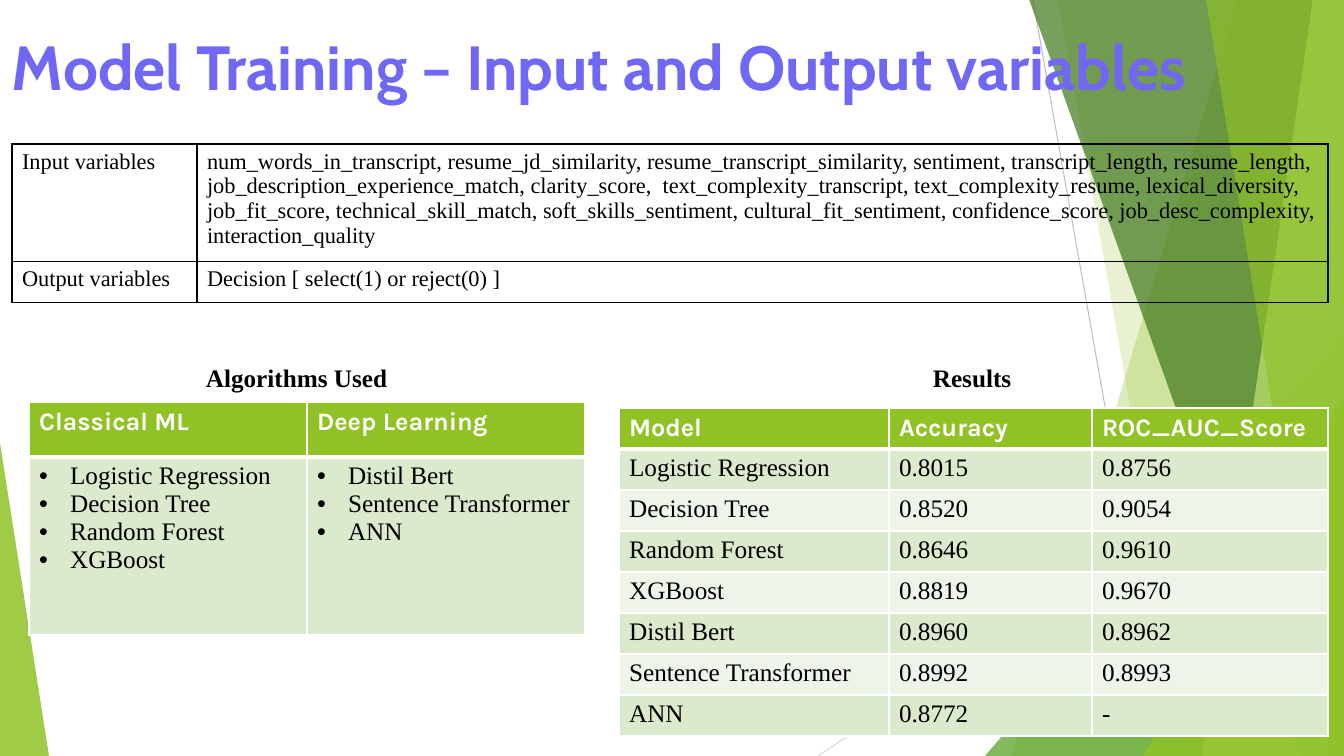
import pptx
import pptx.util
import pptx.dml.color
import pptx.enum.shapes
import pptx.oxml
import pptx.oxml.ns
from lxml import etree

RGB = pptx.dml.color.RGBColor
BLACK, WHITE = RGB(0, 0, 0), RGB(255, 255, 255)
VIOLET = RGB(0x70, 0x68, 0xF4)
LIME, GREEN = RGB(0x90, 0xC2, 0x26), RGB(0x54, 0xA0, 0x21)
FOREST, PALE = RGB(0x3F, 0x78, 0x19), RGB(0xC0, 0xE4, 0x74)
GRAY, SILVER = RGB(0xBF, 0xBF, 0xBF), RGB(0xD9, 0xD9, 0xD9)
BAND, LIGHT = RGB(0xDB, 0xE9, 0xCD), RGB(0xEE, 0xF4, 0xE8)
SERIF, KARLA = "Times New Roman", "Karla"
W, H = 1344, 756
SCALE = 914400 / 100.8

# Content
TITLE = "Model Training – Input and Output variables"
VARS = [
    ["Input variables",
     "num_words_in_transcript, resume_jd_similarity, resume_transcript_similarity, "
     "sentiment, transcript_length, resume_length, job_description_experience_match, "
     "clarity_score,  text_complexity_transcript, text_complexity_resume, "
     "lexical_diversity, job_fit_score, technical_skill_match, soft_skills_sentiment, "
     "cultural_fit_sentiment, confidence_score, job_desc_complexity, interaction_quality"],
    ["Output variables", "Decision [ select(1) or reject(0) ]"],
]
METHODS = [
    ["Classical ML", "Deep Learning"],
    ["Logistic Regression\nDecision Tree\nRandom Forest\nXGBoost",
     "Distil Bert\nSentence Transformer\nANN"],
]
SCORES = [
    ["Model", "Accuracy", "ROC_AUC_Score"],
    ["Logistic Regression", "0.8015", "0.8756"],
    ["Decision Tree", "0.8520", "0.9054"],
    ["Random Forest", "0.8646", "0.9610"],
    ["XGBoost", "0.8819", "0.9670"],
    ["Distil Bert", "0.8960", "0.8962"],
    ["Sentence Transformer", "0.8992", "0.8993"],
    ["ANN", "0.8772", "-"],
]
HEADS = [("Algorithms Used", 196, 217), ("Results", 923, 193)]

# Backdrop: lines as x1, y1, x2, y2; facets as top left, bottom left;
# wedges as box and apex
LINES = [(1033, 0, 1167, H, GRAY), (W, 406, 818, H, SILVER)]
FACETS = [
    ("facet", (1238, 1012), LIME, 30),
    ("facet", (1058, 1192), LIME, 20),
    ("wedge", (985, 336, 359, 420, 1), GREEN, 72),
    ("facet", (1029, 1301), FOREST, 70),
    ("facet", (1313, 1202), PALE, 70),
    ("facet", (1206, 1329), LIME, 65),
    ("wedge", (1143, 396, 201, 360, 1), LIME, 80),
    ("wedge", (0, 443, 49, 313, 0), LIME, 85),
]


def px(n):
    return pptx.util.Emu(round(n * SCALE))


def node(parent, tag, **attrs):
    return etree.SubElement(parent, pptx.oxml.ns.qn(tag), attrs)


def write(frame, text, size=18, font=SERIF, color=BLACK, bold=False,
          bullet=False, lead=None):
    for i, line in enumerate(text.split("\n")):
        para = frame.add_paragraph() if i else frame.paragraphs[0]
        if lead:
            para.line_spacing = pptx.util.Pt(lead)
        if bullet:
            props = para._p.get_or_add_pPr()
            props.set("marL", str(px(31)))
            props.set("indent", str(-px(31)))
            node(props, "a:buFont", typeface="Arial")
            node(props, "a:buChar", char="•")
        run = para.add_run()
        run.text = line
        run.font.size = pptx.util.Pt(size)
        run.font.name = font
        run.font.bold = bold
        run.font.color.rgb = color


def label(slide, text, x, y, w, h, pad=None, **style):
    frame = slide.shapes.add_textbox(px(x), px(y), px(w), px(h)).text_frame
    frame.word_wrap = True
    if pad is not None:
        frame.margin_left = frame.margin_right = px(pad)
        frame.margin_top = frame.margin_bottom = px(pad)
    write(frame, text, **style)


def edge(cell, color, base=1):
    props = cell._tc.get_or_add_tcPr()
    for side in "LRTB":
        width = pptx.util.Pt(base if side == "B" else 1)
        line = node(props, "a:ln" + side, w=str(width))
        node(node(line, "a:solidFill"), "a:srgbClr", val=str(color))


def grid(slide, data, x, y, cols, rows, head=True, line=WHITE, size=18,
         bullet=False):
    table = slide.shapes.add_table(len(rows), len(cols), px(x), px(y),
                                   px(sum(cols)), px(sum(rows))).table
    table.first_row = table.horz_banding = False
    for col, w in zip(table.columns, cols):
        col.width = px(w)
    for r, (row, h) in enumerate(zip(data, rows)):
        table.rows[r].height = px(h)
        top = head and r == 0
        for c, text in enumerate(row):
            cell = table.cell(r, c)
            edge(cell, line, 3 if top else 1)
            if head:
                cell.fill.solid()
                cell.fill.fore_color.rgb = LIME if top else BAND if r % 2 else LIGHT
            else:
                cell.fill.background()
            if top:
                write(cell.text_frame, text, size=size, font=KARLA, color=WHITE, bold=True)
            else:
                write(cell.text_frame, text, size=size, bullet=bullet)


def paint(shape, color, alpha):
    shape.shadow.inherit = False
    shape.line.fill.background()
    shape.fill.solid()
    shape.fill.fore_color.rgb = color
    tint = shape._element.spPr.find(".//" + pptx.oxml.ns.qn("a:srgbClr"))
    node(tint, "a:alpha", val=str(alpha * 1000))


def backdrop(slide):
    kinds = pptx.enum.shapes
    for x1, y1, x2, y2, color in LINES:
        line = slide.shapes.add_connector(kinds.MSO_CONNECTOR.STRAIGHT,
                                          px(x1), px(y1), px(x2), px(y2))
        line.line.color.rgb = color
        line.line.width = pptx.util.Pt(0.75)
        node(line._element.spPr, "a:effectLst")
    for kind, place, color, alpha in FACETS:
        if kind == "facet":
            top, base = place
            pen = slide.shapes.build_freeform(top, -1, scale=SCALE)
            pen.add_line_segments([(W, -1), (W, H), (base, H)], close=True)
            shape = pen.convert_to_shape()
        else:
            x, y, w, h, apex = place
            shape = slide.shapes.add_shape(kinds.MSO_SHAPE.ISOSCELES_TRIANGLE,
                                           px(x), px(y), px(w), px(h))
            shape.adjustments[0] = apex
        paint(shape, color, alpha)


def main():
    deck = pptx.Presentation()
    deck.slide_width, deck.slide_height = px(W), px(H)
    slide = deck.slides.add_slide(deck.slide_layouts[6])
    backdrop(slide)

    # Title and variables; the first row grows to fit its text
    label(slide, TITLE, 12, 25, 1200, 79, pad=0,
          size=44.5, font="Cabin", color=VIOLET, bold=True, lead=56)
    grid(slide, VARS, 12, 144, [185, 1131], [41, 41],
         head=False, line=BLACK, size=16)

    # Algorithms and results
    grid(slide, METHODS, 29, 402, [278, 278], [55, 178], bullet=True)
    for text, x, w in HEADS:
        label(slide, text, x, 357, w, 40, bold=True)
    grid(slide, SCORES, 619, 408, [270, 203, 236], [41] * len(SCORES))

    deck.save("out.pptx")


if __name__ == "__main__":
    main()
